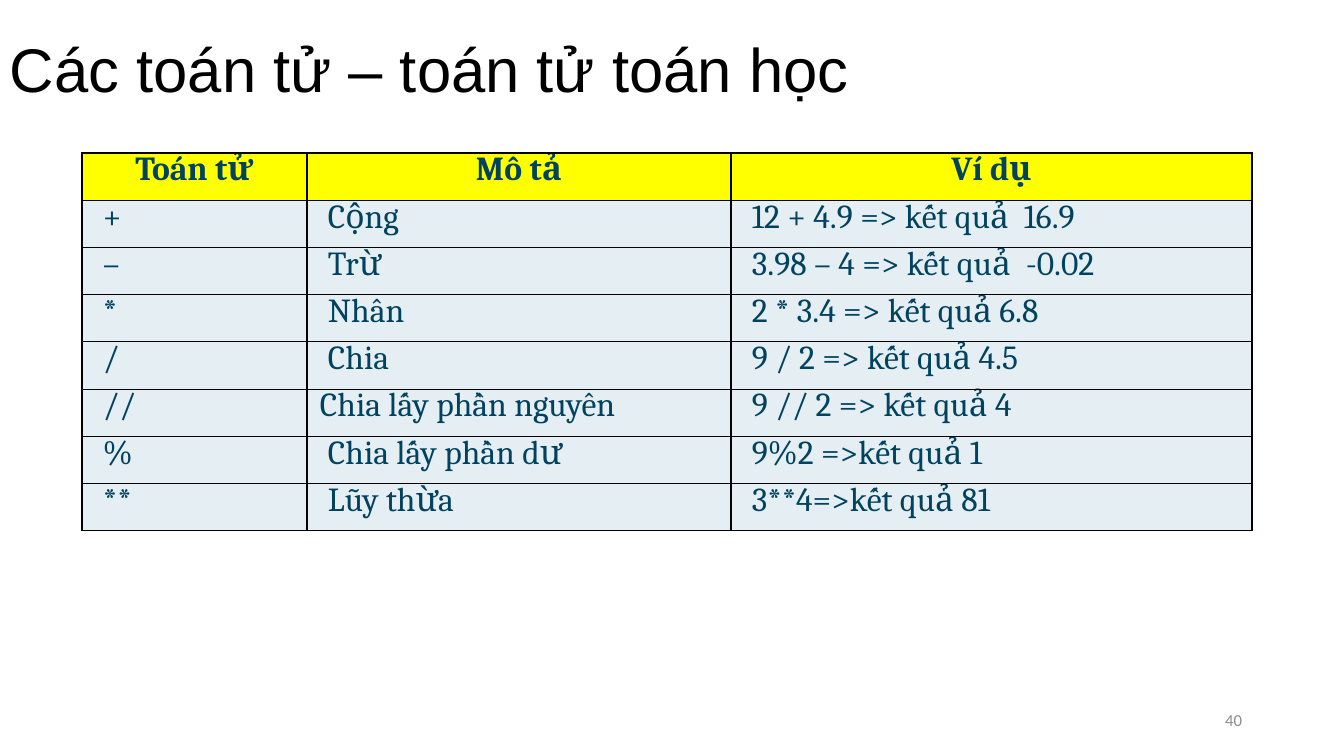
from lxml.etree import SubElement
from pptx import Presentation
from pptx.dml.color import RGBColor
from pptx.enum.text import MSO_ANCHOR as Anchor, PP_ALIGN as Align
from pptx.oxml.ns import qn
from pptx.util import Emu, Pt

TITLE = "Các toán tử – toán tử toán học"
PAGE_NUMBER = "40"
HEADER = ("Toán tử", "Mô tả", "Ví dụ")
OPERATORS = [
    ("+", "Cộng", "12 + 4.9 => kết quả  16.9"),
    ("–", "Trừ", "3.98 – 4 => kết quả  -0.02"),
    ("*", "Nhân", "2 * 3.4 => kết quả 6.8"),
    ("/", "Chia", "9 / 2 => kết quả 4.5"),
    ("//", "Chia lấy phần nguyên", "9 // 2 => kết quả 4"),
    ("%", "Chia lấy phần dư", "9%2 =>kết quả 1"),
    ("**", "Lũy thừa", "3**4=>kết quả 81"),
]
UNINDENTED = "Chia lấy phần nguyên"

BLACK = RGBColor(0x00, 0x00, 0x00)
GRAY = RGBColor(0x8C, 0x8C, 0x8C)
NAVY = RGBColor(0x01, 0x43, 0x5F)
YELLOW = RGBColor(0xFF, 0xFF, 0x00)
PALE_BLUE = RGBColor(0xE4, 0xEE, 0xF3)

SLIDE_SIZE = (1344, 756)
TITLE_BOX = (0, 0, 1344, 146)
NUMBER_BOX = (950, 701, 302, 40)
TABLE_LEFT, TABLE_TOP, TABLE_HEIGHT = 82, 153, 378
COLUMN_WIDTHS = (225, 424, 521)
CELL_MARGIN_X, CELL_MARGIN_Y, CELL_INDENT = 13, 4, 8


def px(length):
    return Emu(round(length * 914400 / 100.8))


def add_run(paragraph, text, font_name, size, color, bold=False):
    run = paragraph.add_run()
    run.text = text
    run.font.name = font_name
    run.font.size = Pt(size)
    run.font.bold = bold
    run.font.color.rgb = color


def add_text(slide, box, text, font_name, size, color, align):
    """Add a one-line text box, centred vertically in its box."""
    shape = slide.shapes.add_textbox(*map(px, box))
    frame = shape.text_frame
    frame.word_wrap = True
    frame.vertical_anchor = Anchor.MIDDLE
    paragraph = frame.paragraphs[0]
    paragraph.alignment = align
    paragraph.line_spacing = 0.9
    add_run(paragraph, text, font_name, size, color)


def add_borders(cell):
    properties = cell._tc.get_or_add_tcPr()
    for index, side in enumerate(("a:lnL", "a:lnR", "a:lnT", "a:lnB")):
        line = properties.makeelement(qn(side), {"w": str(Pt(1))})
        fill = SubElement(line, qn("a:solidFill"))
        SubElement(fill, qn("a:srgbClr"), val=str(BLACK))
        properties.insert(index, line)


def fill_cell(cell, text, is_header):
    indented = not is_header and text != UNINDENTED
    cell.margin_left = px(CELL_MARGIN_X + CELL_INDENT * indented)
    cell.margin_right = px(CELL_MARGIN_X)
    cell.margin_top = cell.margin_bottom = px(CELL_MARGIN_Y)
    cell.vertical_anchor = Anchor.MIDDLE
    cell.fill.solid()
    cell.fill.fore_color.rgb = YELLOW if is_header else PALE_BLUE
    paragraph = cell.text_frame.paragraphs[0]
    paragraph.alignment = Align.CENTER if is_header else Align.LEFT
    paragraph.line_spacing = Pt(18)
    paragraph.space_after = Pt(18.8)
    add_run(paragraph, text, "Cambria", 24, NAVY, is_header)
    add_borders(cell)


def add_operator_table(slide):
    rows = [HEADER, *OPERATORS]
    box = (TABLE_LEFT, TABLE_TOP, sum(COLUMN_WIDTHS), TABLE_HEIGHT)
    table = slide.shapes.add_table(len(rows), len(HEADER), *map(px, box)).table
    for column, width in zip(table.columns, COLUMN_WIDTHS):
        column.width = px(width)
    for row_index, texts in enumerate(rows):
        table.rows[row_index].height = px(TABLE_HEIGHT / len(rows))
        for column_index, text in enumerate(texts):
            fill_cell(table.cell(row_index, column_index), text, row_index == 0)


def main():
    presentation = Presentation()
    presentation.slide_width, presentation.slide_height = map(px, SLIDE_SIZE)
    slide = presentation.slides.add_slide(presentation.slide_layouts[6])
    add_text(slide, TITLE_BOX, TITLE, "Arial", 44, BLACK, Align.LEFT)
    add_text(slide, NUMBER_BOX, PAGE_NUMBER, "Calibri", 12, GRAY, Align.RIGHT)
    add_operator_table(slide)
    presentation.save("out.pptx")


if __name__ == "__main__":
    main()
